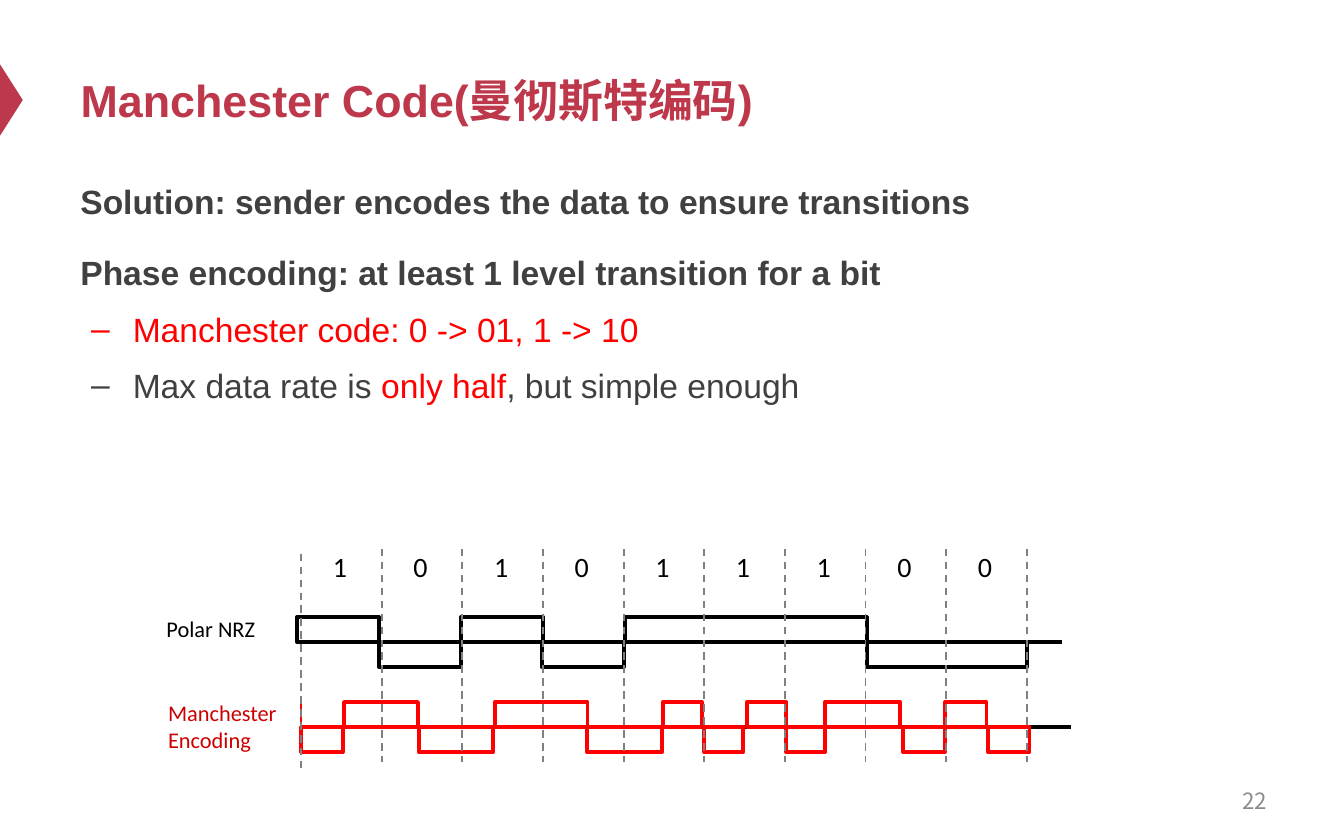
"""Build the Manchester Code slide with its bit grid and two waveforms."""
from dataclasses import dataclass

from lxml.etree import SubElement
from pptx import Presentation
from pptx.dml.color import RGBColor
from pptx.enum.dml import MSO_LINE_DASH_STYLE as Dash
from pptx.enum.shapes import MSO_CONNECTOR as Conn, MSO_SHAPE as Shape
from pptx.enum.text import MSO_ANCHOR as Anchor, MSO_AUTO_SIZE as AutoSize, PP_ALIGN as Align
from pptx.oxml.ns import qn
from pptx.util import Pt

CRIMSON = RGBColor(0xBE, 0x38, 0x4B)
DARK = RGBColor(0x40, 0x40, 0x40)
RED = RGBColor(0xFF, 0x00, 0x00)
LABEL_RED = RGBColor(0xCC, 0x00, 0x00)
GRAY = RGBColor(0x80, 0x80, 0x80)
NUMBER_GRAY = RGBColor(0x8C, 0x8C, 0x8C)
BLACK = RGBColor(0x00, 0x00, 0x00)
CJK = "Noto Sans CJK SC"

BITS = "101011100"
GRID_LEFT, BIT_W = 161.3, 43.2
PULSE_H = 13.4


@dataclass
class Bullet:
    pieces: list[tuple[str, RGBColor]]
    level: int = 0


@dataclass
class Signal:
    axis: float
    end: float
    color: RGBColor
    starts_high: bool
    pulses: list[tuple[float, float]]


BULLETS = [
    Bullet([("Solution: sender encodes the data to ensure transitions", DARK)]),
    Bullet([("Phase encoding: at least 1 level transition for a bit", DARK)]),
    Bullet([("Manchester code: 0 -> 01, 1 -> 10", RED)], 1),
    Bullet([("Max data rate is ", DARK), ("only half", RED), (", but simple enough", DARK)], 1),
]
MANCHESTER = Signal(389.5, 573.8, RED, False, [
    (161.3, 22.3), (184.3, 39.6), (224.6, 39.6), (265, 49.7), (314.6, 40.3),
    (355, 20.9), (377.3, 20.9), (400.3, 20.9), (421.2, 20.9), (442.1, 40.3),
    (483.8, 22.3), (506.2, 22.3), (529.2, 22.3)])
POLAR = Signal(344, 568.8, BLACK, True, [
    (159.1, 43.9), (203, 43.9), (247, 43.9), (290.2, 43.9), (334.8, 129.6), (464.4, 85.7)])


def style(font, size: float, name: str, color: RGBColor, bold: bool = False) -> None:
    font.size, font.name, font.bold = Pt(size), name, bold
    font.color.rgb = color


def add_line(s, x1: float, y1: float, x2: float, y2: float, color: RGBColor,
             width: float, dash=None) -> None:
    ln = s.shapes.add_connector(Conn.STRAIGHT, Pt(x1), Pt(y1), Pt(x2), Pt(y2))
    ln.line.color.rgb, ln.line.width = color, Pt(width)
    if dash:
        ln.line.dash_style = dash
    SubElement(ln._element.spPr, qn("a:effectLst"))


def add_text(s, x: float, y: float, w: float, h: float, text: str, size: float,
             color: RGBColor, name: str = "Calibri", align=Align.LEFT, anchor=Anchor.TOP) -> None:
    tf = s.shapes.add_textbox(Pt(x), Pt(y), Pt(w), Pt(h)).text_frame
    tf.word_wrap, tf.vertical_anchor = True, anchor
    tf.margin_left = tf.margin_right = Pt(5)
    tf.margin_top = tf.margin_bottom = Pt(2.9)
    tf.text = text
    for p in tf.paragraphs:
        p.alignment = align
        style(p.runs[0].font, size, name, color)


def add_signal(s, signal: Signal) -> None:
    add_line(s, GRID_LEFT, signal.axis, signal.end, signal.axis, BLACK, 2)
    high = signal.starts_high
    for x, w in signal.pulses:
        top = signal.axis - PULSE_H if high else signal.axis
        sp = s.shapes.add_shape(Shape.RECTANGLE, Pt(x), Pt(top), Pt(w), Pt(PULSE_H))
        sp.shadow.inherit = False
        sp.fill.background()
        sp.line.color.rgb, sp.line.width = signal.color, Pt(2)
        high = not high


def add_bullets(s) -> None:
    tf = s.shapes.add_textbox(Pt(36), Pt(89.3), Pt(648), Pt(296.6)).text_frame
    tf.word_wrap = True
    for i, bullet in enumerate(BULLETS):
        p = tf.paragraphs[0] if i == 0 else tf.add_paragraph()
        p.level, p.line_spacing = bullet.level, 1.2
        if i:
            p.space_before = Pt(4.3 if bullet.level else 12)
        if bullet.level:
            pPr = p._p.get_or_add_pPr()
            pPr.set("marL", str(Pt(28.1)))
            pPr.set("indent", str(-Pt(22.3)))
            SubElement(pPr, qn("a:buFont"), typeface="Arial")
            SubElement(pPr, qn("a:buChar"), char="–")
        for text, color in bullet.pieces:
            r = p.add_run()
            r.text = text
            style(r.font, 18, "Arial", color, bullet.level == 0)


def add_title(s) -> None:
    title = s.shapes.title
    title.left, title.top, title.width, title.height = Pt(36), Pt(18), Pt(648), Pt(70.6)
    tf = title.text_frame
    tf.text = "Manchester Code(曼彻斯特编码)"
    tf.auto_size, tf.vertical_anchor = AutoSize.NONE, Anchor.MIDDLE
    p = tf.paragraphs[0]
    p.alignment = Align.LEFT
    r = p.runs[0]
    style(r.font, 24, "Arial", CRIMSON, True)
    SubElement(r._r.get_or_add_rPr(), qn("a:ea"), typeface=CJK)


def add_grid(s) -> None:
    for i, bit in enumerate(BITS):
        add_text(s, 173.3 + i * BIT_W, 291.6, 18.7, 23.8, bit, 15, BLACK)
    for i in range(len(BITS) + 1):
        x = GRID_LEFT + i * BIT_W
        top, bottom = (294, 408) if i else (296.6, 411.8)
        add_line(s, x, top, x, bottom, GRAY, 1, Dash.DASH)


def main() -> None:
    prs = Presentation()
    prs.slide_width, prs.slide_height = Pt(720), Pt(450)
    s = prs.slides.add_slide(prs.slide_layouts[5])

    marker = s.shapes.add_shape(Shape.ISOSCELES_TRIANGLE, Pt(-13), Pt(47.5), Pt(38.2), Pt(12.2))
    marker.rotation = 90
    marker.shadow.inherit = False
    marker.fill.solid()
    marker.fill.fore_color.rgb = CRIMSON
    marker.line.fill.background()

    add_title(s)
    add_bullets(s)
    add_text(s, 516.2, 416.9, 167.8, 23.8, "22", 12, NUMBER_GRAY, CJK, Align.RIGHT, Anchor.MIDDLE)
    add_text(s, 85, 371.5, 71.3, 34.6, "Manchester\nEncoding", 12, LABEL_RED)
    add_signal(s, MANCHESTER)
    add_line(s, GRID_LEFT, 375.8, GRID_LEFT, 389.5, RED, 1.5)
    add_text(s, 84.2, 326.9, 59, 20.2, "Polar NRZ", 12, BLACK)
    add_signal(s, POLAR)
    add_grid(s)
    prs.save("out.pptx")


if __name__ == "__main__":
    main()
